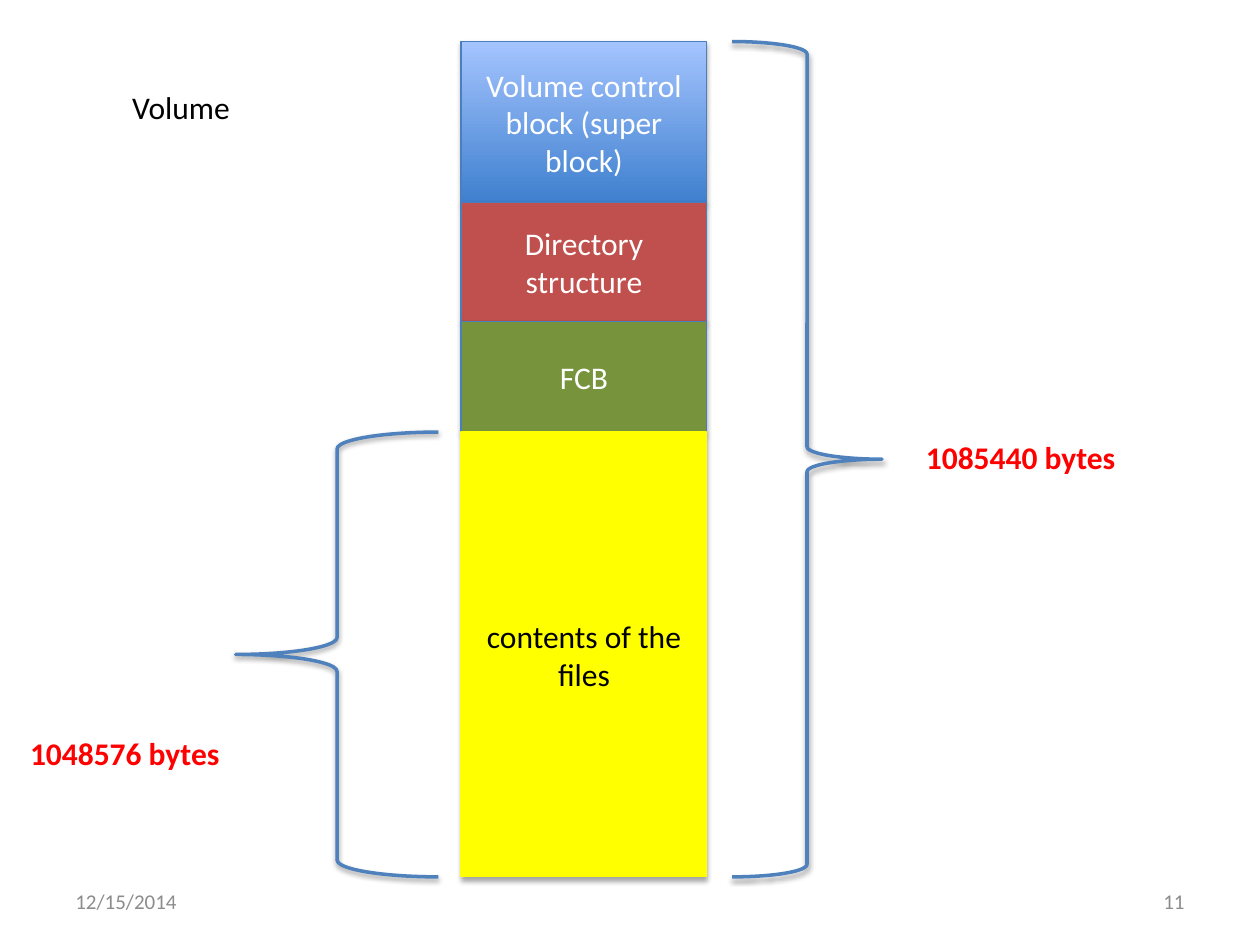
import pptx
import pptx.util
import pptx.dml.color
import pptx.enum.shapes
import pptx.enum.text
import pptx.oxml.ns
import lxml.etree

SHAPES = pptx.enum.shapes.MSO_SHAPE
ALIGN = pptx.enum.text.PP_ALIGN
ANCHOR = pptx.enum.text.MSO_ANCHOR
INCH = pptx.util.Inches

COLOURS = {
    "footer": "8C8C8C", "white": "FFFFFF", "black": "000000",
    "red": "FF0000", "outline": "4B7EBC", "brace": "4F81BD",
    "blue dark": "3F80CE", "blue light": "A4C4FF",
    "brick": "C0504D", "olive": "77933C", "yellow": "FFFF00",
}
WIDTH, HEIGHT = 10, 7.5

# The stacked column and its margins
STACK_LEFT, STACK_TOP, STACK_WIDTH = 3.66, 0.33, 1.95
LABEL_HEIGHT = 0.4
FOOTER_TOP, FOOTER_WIDTH, FOOTER_MARGIN = 6.95, 2.33, 0.5

# Text, height, fill, outline, text colour
BLOCKS = [
    ("Volume control block (super block)", 1.28,
     ("blue dark", "blue light"), "outline", "white"),
    ("Directory structure", 0.94, ("brick",), "outline", "white"),
    ("FCB", 0.88, ("olive",), "outline", "white"),
    ("contents of the files", 3.53, ("yellow",), "yellow", "black"),
]


def colour(name):
    return pptx.dml.color.RGBColor.from_string(COLOURS[name])


def write(shape, text, size, colour_name, align, bold=False):
    para = shape.text_frame.paragraphs[0]
    para.text = text
    para.alignment = align
    para.font.name = "Calibri"
    para.font.size = pptx.util.Pt(size)
    para.font.bold = bold
    para.font.color.rgb = colour(colour_name)


def add_shadow(shape, opacity, distance):
    """Give the shape a soft shadow that falls straight down."""
    shape.shadow.inherit = False
    name = pptx.oxml.ns.qn
    effects = shape._element.spPr.find(name("a:effectLst"))
    shadow = lxml.etree.SubElement(
        effects, name("a:outerShdw"), blurRad=str(pptx.util.Pt(3.1)),
        dist=str(pptx.util.Pt(distance)), dir="5400000", rotWithShape="0")
    tint = lxml.etree.SubElement(shadow, name("a:srgbClr"), val=COLOURS["black"])
    lxml.etree.SubElement(tint, name("a:alpha"), val=str(opacity * 1000))


def set_line(shape, colour_name, weight):
    shape.line.color.rgb = colour(colour_name)
    shape.line.width = pptx.util.Pt(weight)


def add_block(page, top, height, text, fills, outline, text_colour):
    block = page.shapes.add_shape(
        SHAPES.RECTANGLE, INCH(STACK_LEFT), INCH(top),
        INCH(STACK_WIDTH), INCH(height))
    if len(fills) == 1:
        block.fill.solid()
        block.fill.fore_color.rgb = colour(fills[0])
    else:
        block.fill.gradient()
        block.fill.gradient_angle = 90
        for stop, fill in zip(block.fill.gradient_stops, fills):
            stop.color.rgb = colour(fill)
    set_line(block, outline, 0.75)
    add_shadow(block, 35, 1.8)
    block.text_frame.word_wrap = True
    block.text_frame.vertical_anchor = ANCHOR.MIDDLE
    write(block, text, 18, text_colour, ALIGN.CENTER)


def add_brace(page, kind, left, top, width, bottom):
    brace = page.shapes.add_shape(
        kind, INCH(left), INCH(top), INCH(width), INCH(bottom - top))
    brace.fill.background()
    set_line(brace, "brace", 2)
    add_shadow(brace, 38, 1.6)


def add_label(page, left, top, width, text, colour_name, size=18,
              align=ALIGN.LEFT, bold=False, wrap=False, anchor=ANCHOR.TOP):
    box = page.shapes.add_textbox(
        INCH(left), INCH(top), INCH(width), INCH(LABEL_HEIGHT))
    box.text_frame.word_wrap = wrap
    box.text_frame.vertical_anchor = anchor
    write(box, text, size, colour_name, align, bold)


def main():
    deck = pptx.Presentation()
    deck.slide_width, deck.slide_height = INCH(WIDTH), INCH(HEIGHT)
    page = deck.slides.add_slide(deck.slide_layouts[6])

    # Footer: date and page number
    footer_right = WIDTH - FOOTER_MARGIN - FOOTER_WIDTH
    for left, text, align in ((FOOTER_MARGIN, "12/15/2014", ALIGN.LEFT),
                              (footer_right, "11", ALIGN.RIGHT)):
        add_label(page, left, FOOTER_TOP, FOOTER_WIDTH, text, "footer", 12,
                  align, wrap=True, anchor=ANCHOR.MIDDLE)

    # Volume layout, stacked from the top down
    bottom = STACK_TOP
    for text, height, fills, outline, text_colour in BLOCKS:
        contents_top = bottom
        add_block(page, bottom, height, text, fills, outline, text_colour)
        bottom += height

    # Braces: whole volume on the right, file contents on the left
    add_brace(page, SHAPES.RIGHT_BRACE, 5.81, STACK_TOP, 1.19, bottom)
    add_brace(page, SHAPES.LEFT_BRACE, 1.87, contents_top, 1.61, bottom)

    # Sizes and title
    add_label(page, 7.25, contents_top, STACK_WIDTH, "1085440 bytes", "red",
              bold=True, wrap=True)
    add_label(page, 0.14, 5.78, 1.73, "1048576 bytes", "red", bold=True)
    add_label(page, 0.95, 0.65, 1, "Volume", "black")

    deck.save("out.pptx")


if __name__ == "__main__":
    main()
